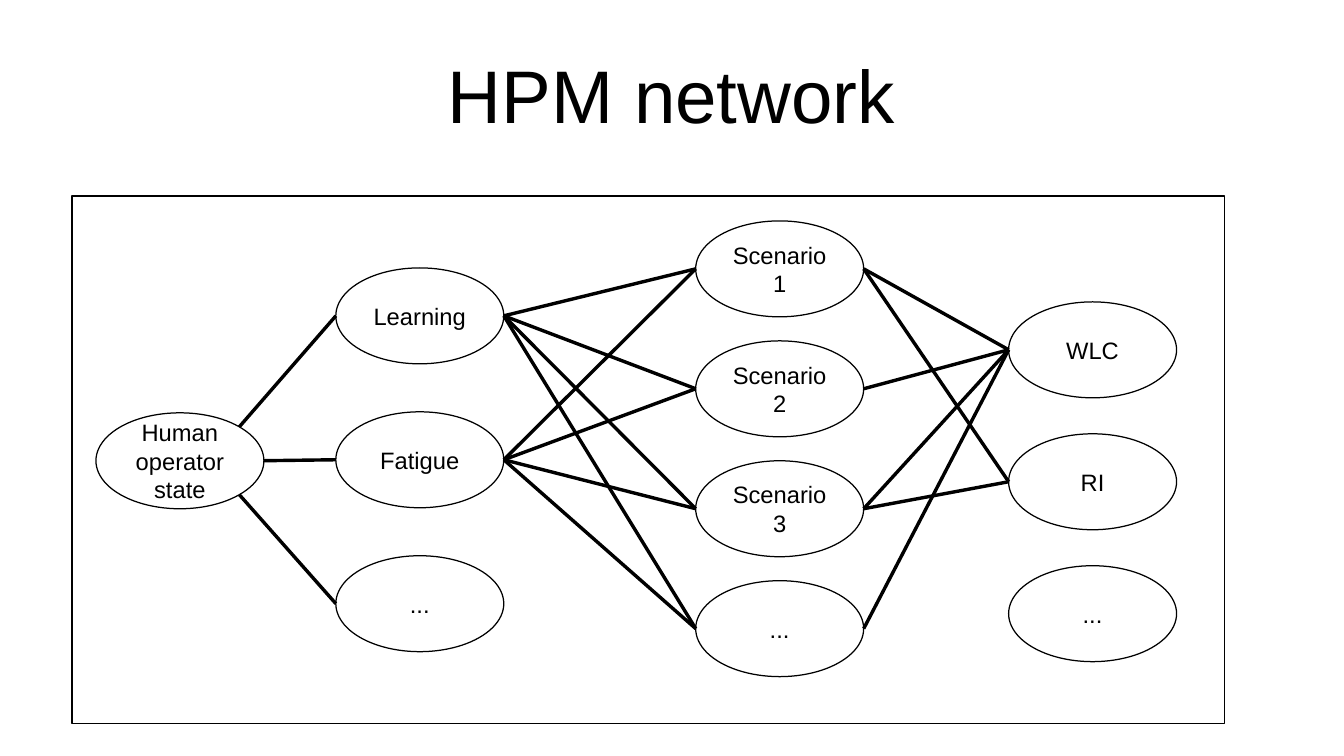
from itertools import product

from pptx import Presentation, util as u
from pptx.dml.color import RGBColor
from pptx.enum import shapes, text
from pptx.oxml.ns import qn
from lxml import etree

PX = u.Inches(1) / 122
BLACK = RGBColor(0, 0, 0)
WIDE, HIGH = 168, 96
SLANT = 0.5 ** 0.5

# left edge, first top, vertical step, labels
STATE = (96, 413, 0, ["Human operator state"])
FACTORS = (336, 268, 144, ["Learning", "Fatigue", "..."])
SCENES = (696, 221, 120, ["Scenario 1", "Scenario 2", "Scenario 3", "..."])
SCORES = (1009, 302, 132, ["WLC", "RI", "..."])


def px(*lengths):
    return [u.Emu(round(n * PX)) for n in lengths]


def outline(line):
    line.color.rgb = BLACK
    line.width = u.Pt(0)


def write(frame, words, size):
    frame.word_wrap = True
    frame.vertical_anchor = text.MSO_ANCHOR.MIDDLE
    par = frame.paragraphs[0]
    par.text = words
    par.alignment = text.PP_ALIGN.CENTER
    par.font.name = "Arial"
    par.font.size = u.Pt(size)
    par.font.color.rgb = BLACK


def add_title(slide, words):
    frame = slide.shapes.add_textbox(*px(67, 30, 1210, 127)).text_frame
    frame.margin_left = frame.margin_right = 0
    frame.margin_top = frame.margin_bottom = 0
    write(frame, words, 44)


def add_shape(slide, kind, *box):
    shape = slide.shapes.add_shape(kind, *px(*box))
    shape.shadow.inherit = False
    shape.fill.background()
    outline(shape.line)
    return shape


def add_nodes(slide, left, top, step, labels):
    """Draw a column of ellipses and return their centres."""
    spots = []
    for row, label in enumerate(labels):
        y = top + row * step
        node = add_shape(slide, shapes.MSO_SHAPE.OVAL, left, y, WIDE, HIGH)
        write(node.text_frame, label, 14)
        spots.append((left + WIDE / 2, y + HIGH / 2))
    return spots


def add_link(slide, start, end, turn=0):
    """Join two centres; turn -1 or 1 leaves the start at its upper or lower right."""
    reach = SLANT if turn else 1
    ends = px(start[0] + reach * WIDE / 2, start[1] + turn * SLANT * HIGH / 2,
              end[0] - WIDE / 2, end[1])
    link = slide.shapes.add_connector(shapes.MSO_CONNECTOR.STRAIGHT, *ends)
    outline(link.line)
    etree.SubElement(link._element.spPr, qn("a:effectLst"))


def main():
    deck = Presentation()
    deck.slide_width, deck.slide_height = u.Inches(11.02), u.Inches(6.2)
    slide = deck.slides.add_slide(deck.slide_layouts[6])
    add_title(slide, "HPM network")

    columns = (STATE, FACTORS, SCENES, SCORES)
    (state,), factors, scenes, scores = [add_nodes(slide, *col) for col in columns]

    for turn, factor in zip((-1, 0, 1), factors):
        add_link(slide, state, factor, turn)
    pairs = [*product(factors[:2], scenes),
             *product(scenes, scores[:1]),
             *product(scenes[:3:2], scores[1:2])]
    for start, end in pairs:
        add_link(slide, start, end)

    add_shape(slide, shapes.MSO_SHAPE.RECTANGLE, 72, 196, 1153, 528)
    deck.save("out.pptx")


if __name__ == "__main__":
    main()
